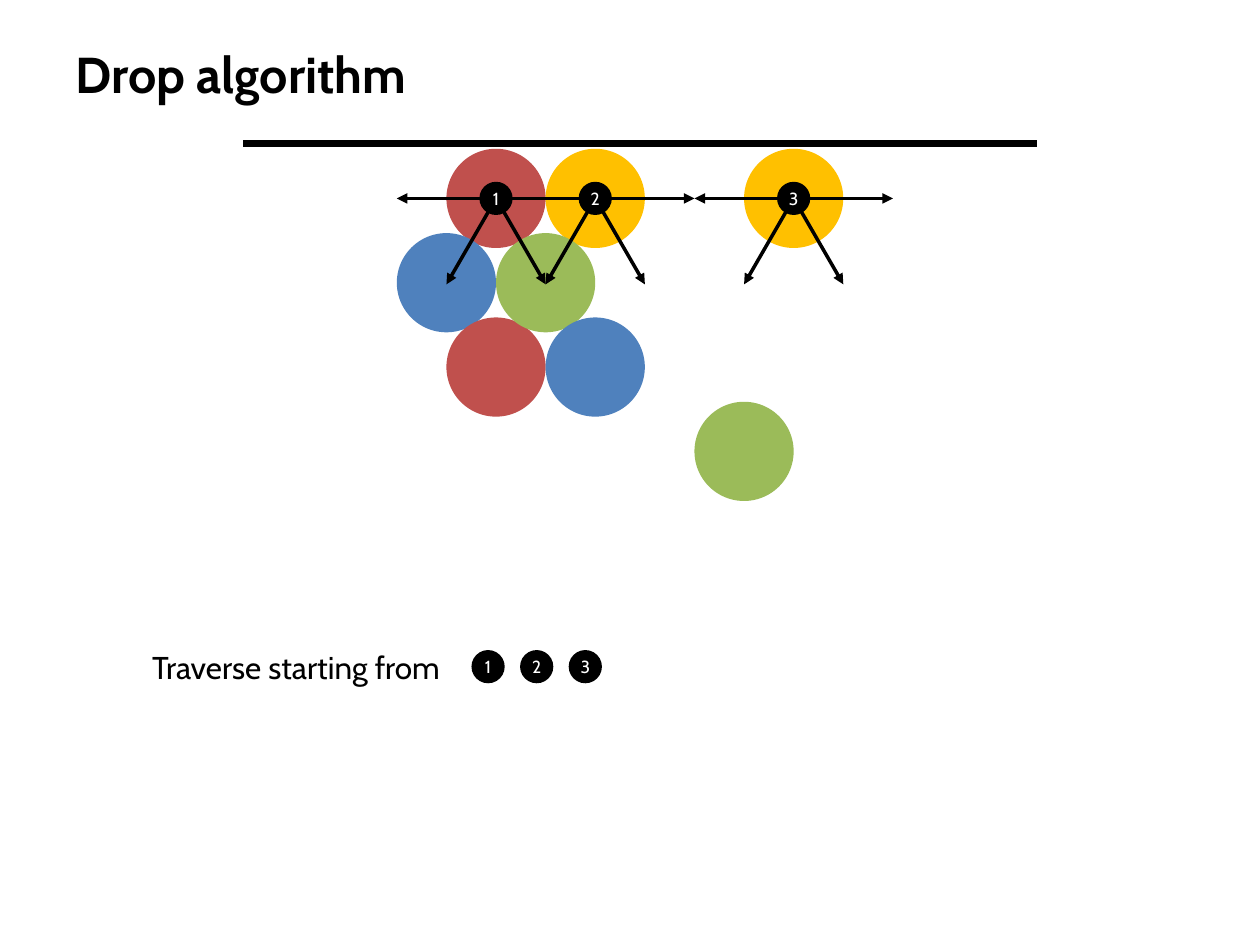
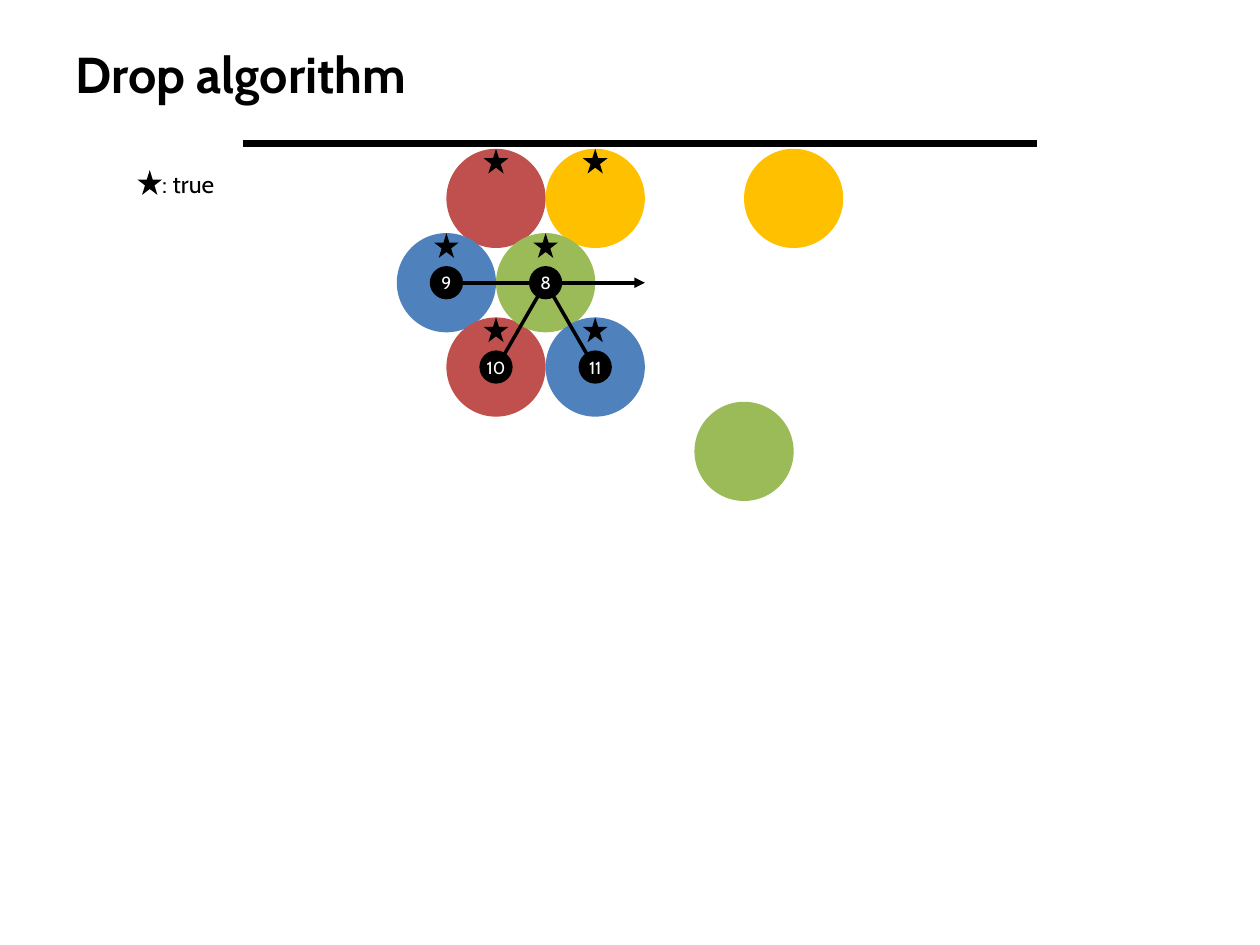
from dataclasses import dataclass
from math import cos, radians, sin

from lxml import etree
from pptx import Presentation
from pptx.dml.color import RGBColor
from pptx.enum.shapes import MSO_CONNECTOR, MSO_SHAPE
from pptx.enum.text import MSO_ANCHOR, PP_ALIGN
from pptx.oxml.ns import qn
from pptx.util import Cm, Pt

STRAIGHT = MSO_CONNECTOR.STRAIGHT
OVAL, STAR = MSO_SHAPE.OVAL, MSO_SHAPE.STAR_5_POINT
TOP, MIDDLE = MSO_ANCHOR.TOP, MSO_ANCHOR.MIDDLE
CENTER = PP_ALIGN.CENTER
BLANK_LAYOUT = 6


@dataclass(frozen=True)
class Theme:
    font: str = "Cabin"
    black: str = "000000"
    white: str = "FFFFFF"
    red: str = "C0504D"
    yellow: str = "FFC000"
    blue: str = "4F81BD"
    green: str = "9BBB59"
    title_size: float = 28.8
    text_size: float = 18
    legend_size: float = 14
    badge_size: float = 10
    ceiling_width: float = 4
    arrow_width: float = 2


THEME = Theme()

# Lengths in centimetres. Columns count ball radii, as rows are staggered.
BALL, BADGE, STAR_SIZE = 2, 0.67, 0.5
FIRST_X, FIRST_Y, ROW_STEP = 9, 4, 1.7
ARROW_ANGLES = (0, 60, 120, 180)

BALLS = {
    (0, 1): THEME.red,
    (0, 3): THEME.yellow,
    (1, 0): THEME.blue,
    (2, 1): THEME.red,
    (1, 2): THEME.green,
    (0, 7): THEME.yellow,
    (2, 3): THEME.blue,
    (3, 6): THEME.green,
}
START_BALLS = {"1": (0, 1), "2": (0, 3), "3": (0, 7)}
VISITED_BALLS = {"8": (1, 2), "9": (1, 0), "10": (2, 1), "11": (2, 3)}
MARKED_BALLS = [(0, 3), (0, 1), (1, 2), (1, 0), (2, 1), (2, 3)]


def ball_center(cell):
    row, column = cell
    return FIRST_X + column * BALL / 2, FIRST_Y + row * ROW_STEP


class Slides:
    def __init__(self, theme):
        self.theme = theme
        self.deck = Presentation()
        self.deck.slide_width, self.deck.slide_height = Cm(25.4), Cm(19.05)
        self.page = None

    def new_page(self, title):
        """Start a slide with its title, the ceiling and all balls."""
        layout = self.deck.slide_layouts[BLANK_LAYOUT]
        self.page = self.deck.slides.add_slide(layout)
        self.text(title, 1.27, 0.76, 22.86, 1.42, self.theme.title_size,
                  bold=True, anchor=MIDDLE)
        self.line((4.9, 2.9), (20.9, 2.9), self.theme.ceiling_width)
        for cell, color in BALLS.items():
            self.shape(OVAL, ball_center(cell), BALL, color)

    def style(self, para, size, color, bold=False):
        font = para.font
        font.name, font.size, font.bold = self.theme.font, Pt(size), bold
        font.color.rgb = RGBColor.from_string(color)

    def text(self, words, left, top, width, height, size, bold=False,
             anchor=TOP):
        box = self.page.shapes.add_textbox(
            Cm(left), Cm(top), Cm(width), Cm(height))
        frame = box.text_frame
        frame.word_wrap = True
        frame.vertical_anchor = anchor
        frame.text = words
        self.style(frame.paragraphs[0], size, self.theme.black, bold)

    def shape(self, kind, center, size, color):
        x, y = center
        shape = self.page.shapes.add_shape(
            kind, Cm(x - size / 2), Cm(y - size / 2), Cm(size), Cm(size))
        shape.shadow.inherit = False
        shape.fill.solid()
        shape.fill.fore_color.rgb = RGBColor.from_string(color)
        shape.line.fill.background()
        return shape

    def line(self, start, end, width, arrow=False):
        connector = self.page.shapes.add_connector(
            STRAIGHT, *(Cm(value) for value in (*start, *end)))
        connector.line.width = Pt(width)
        connector.line.color.rgb = RGBColor.from_string(self.theme.black)
        properties = connector.element.spPr
        if arrow:
            etree.SubElement(properties.find(qn("a:ln")), qn("a:tailEnd"),
                             type="triangle")
        etree.SubElement(properties, qn("a:effectLst"))

    def arrows(self, cell):
        """Point from a ball to its neighbours beside and below it."""
        x, y = ball_center(cell)
        for angle in map(radians, ARROW_ANGLES):
            tip = x + BALL * cos(angle), y + BALL * sin(angle)
            self.line((x, y), tip, self.theme.arrow_width, arrow=True)

    def badge(self, number, center):
        frame = self.shape(OVAL, center, BADGE, self.theme.black).text_frame
        frame.margin_left = frame.margin_right = 0
        frame.margin_top = frame.margin_bottom = 0
        frame.word_wrap = False
        frame.vertical_anchor = MIDDLE
        frame.text = number
        para = frame.paragraphs[0]
        para.alignment = CENTER
        self.style(para, self.theme.badge_size, self.theme.white)

    def star(self, center):
        self.shape(STAR, center, STAR_SIZE, self.theme.black)


def add_start_page(slides):
    slides.new_page("Drop algorithm")
    for cell in START_BALLS.values():
        slides.arrows(cell)
    for number, cell in START_BALLS.items():
        slides.badge(number, ball_center(cell))
    slides.text("Traverse starting from", 2.82, 12.93, 6.96, 1.02,
                slides.theme.text_size)
    for index, number in enumerate(START_BALLS):
        slides.badge(number, (9.84 + index * 0.98, 13.44))


def add_visited_page(slides):
    slides.new_page("Drop algorithm")
    slides.arrows(VISITED_BALLS["8"])
    for number, cell in VISITED_BALLS.items():
        slides.badge(number, ball_center(cell))
    for cell in MARKED_BALLS:
        x, y = ball_center(cell)
        slides.star((x, y - BALL / 2 + STAR_SIZE / 2))
    slides.star((3.02, 3.68))
    slides.text(": true", 3.02, 3.28, 1.73, 0.86, slides.theme.legend_size)


def main():
    slides = Slides(THEME)
    add_start_page(slides)
    add_visited_page(slides)
    slides.deck.save("out.pptx")


if __name__ == "__main__":
    main()
